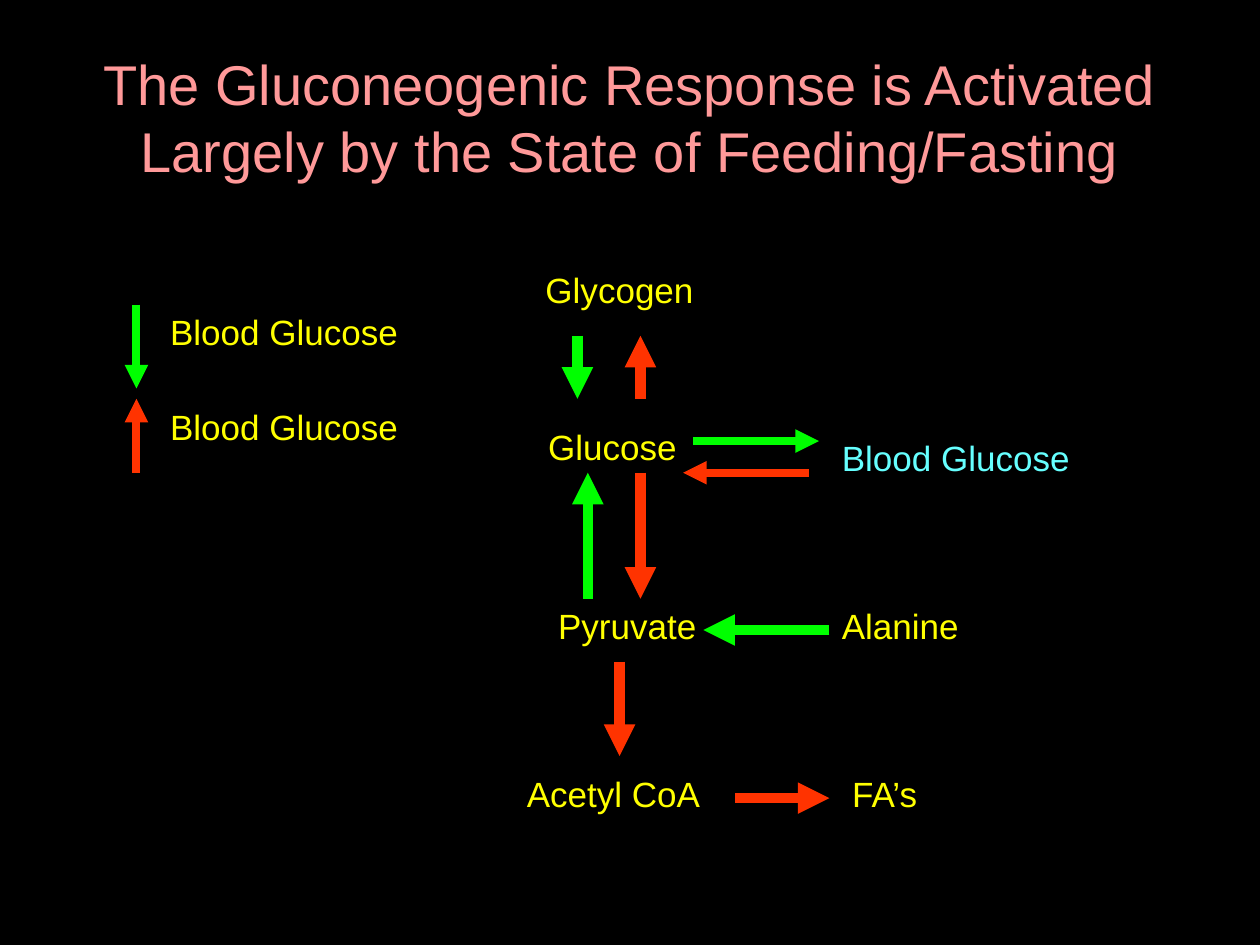
import pptx
import pptx.dml.color
import pptx.enum.shapes
import pptx.enum.text
import pptx.oxml
import pptx.util
from lxml import etree

Cm = pptx.util.Cm
Pt = pptx.util.Pt
RGBColor = pptx.dml.color.RGBColor
Align = pptx.enum.text.PP_ALIGN
Anchor = pptx.enum.text.MSO_ANCHOR

BLACK = RGBColor(0x00, 0x00, 0x00)
PINK = RGBColor(0xFF, 0x99, 0x99)
YELLOW = RGBColor(0xFF, 0xFF, 0x00)
CYAN = RGBColor(0x66, 0xFF, 0xFF)
GREEN = RGBColor(0x00, 0xFF, 0x00)
RED = RGBColor(0xFF, 0x33, 0x00)

LABELS = [
    ("Glycogen", 9.53, 5.28, 5.92, {"align": Align.CENTER}),
    ("Glucose", 10.8, 8.46, 3.6, {}),
    ("Pyruvate", 11, 12.07, 3.39, {}),
    ("Acetyl CoA", 10.37, 15.45, 4.87, {}),
    ("Blood Glucose", 16.72, 8.68, 6.35, {"color": CYAN}),
    ("Alanine", 16.72, 12.07, 3.39, {}),
    ("FA’s", 16.93, 15.45, 2.33, {}),
    ("Blood Glucose", 3.18, 6.14, 5.29, {}),
    ("Blood Glucose", 3.18, 8.05, 5.1, {"wrap": False}),
]

THICK = [
    (11.64, 6.77, 11.64, 8.04, GREEN),
    (12.91, 8.04, 12.91, 6.77, RED),
    (11.85, 12.07, 11.85, 9.53, GREEN),
    (12.91, 9.53, 12.91, 12.07, RED),
    (12.49, 13.34, 12.49, 15.24, RED),
    (14.82, 16.09, 16.72, 16.09, RED),
    (16.72, 12.7, 14.18, 12.7, GREEN),
]

THIN = [
    (13.97, 8.89, 16.51, 8.89, GREEN),
    (16.3, 9.53, 13.77, 9.53, RED),
    (2.75, 6.14, 2.75, 7.83, GREEN),
    (2.75, 9.53, 2.75, 8.04, RED),
]


def write(frame, text, size=20, color=YELLOW, align=Align.LEFT,
          anchor=Anchor.TOP, wrap=True, font="Arial"):
    frame.word_wrap = wrap
    frame.vertical_anchor = anchor
    para = frame.paragraphs[0]
    para.alignment = align
    run = para.add_run()
    run.text = text
    run.font.name = font
    run.font.size = Pt(size)
    run.font.color.rgb = color


class Board:
    def __init__(self, slide):
        self.slide = slide
        fill = slide.background.fill
        fill.solid()
        fill.fore_color.rgb = BLACK

    def label(self, text, left, top, width, height=1.1, **style):
        box = self.slide.shapes.add_textbox(
            Cm(left), Cm(top), Cm(width), Cm(height))
        write(box.text_frame, text, **style)

    def arrow(self, x1, y1, x2, y2, color, weight):
        link = self.slide.shapes.add_connector(
            pptx.enum.shapes.MSO_CONNECTOR.STRAIGHT,
            Cm(x1), Cm(y1), Cm(x2), Cm(y2))
        link.line.color.rgb = color
        link.line.width = Pt(weight)
        tip = etree.SubElement(
            link.line._get_or_add_ln(), pptx.oxml.ns.qn("a:tailEnd"))
        tip.set("type", "triangle")
        etree.SubElement(
            link._element.spPr, pptx.oxml.ns.qn("a:effectLst"))


def main():
    deck = pptx.Presentation()
    deck.slide_width = Cm(25.4)
    deck.slide_height = Cm(19.05)
    board = Board(deck.slides.add_slide(deck.slide_layouts[6]))

    board.label(
        "The Gluconeogenic Response is Activated Largely by the State of "
        "Feeding/Fasting",
        1.27, 0.76, 22.86, 3.18, size=32, color=PINK,
        align=Align.CENTER, anchor=Anchor.MIDDLE)
    for text, left, top, width, style in LABELS:
        board.label(text, left, top, width, **style)
    for weight, group in ((6, THICK), (4.5, THIN)):
        for ends in group:
            board.arrow(*ends, weight)

    deck.save("out.pptx")


if __name__ == "__main__":
    main()
